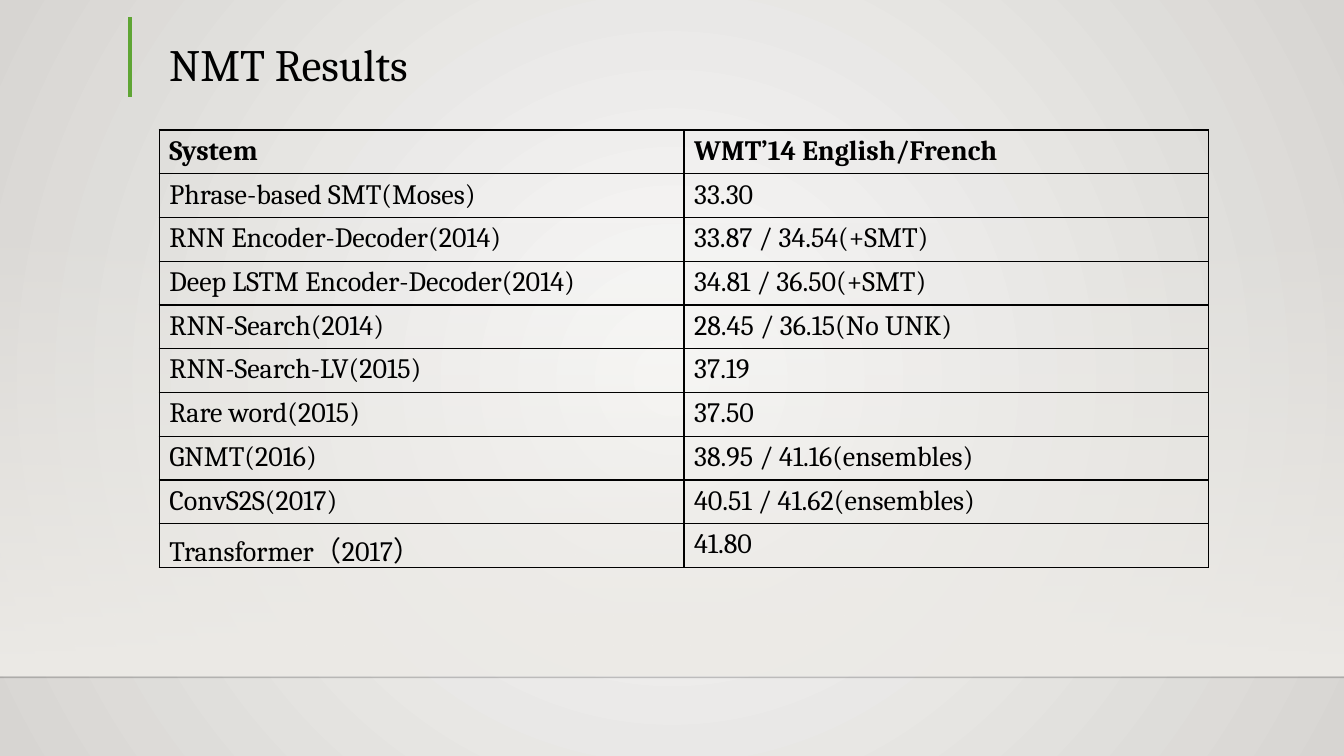
from lxml.etree import SubElement
from pptx import Presentation
from pptx.dml.color import RGBColor
from pptx.enum.shapes import MSO_CONNECTOR, MSO_SHAPE
from pptx.enum.text import MSO_ANCHOR
from pptx.oxml.ns import qn
from pptx.util import Inches, Pt

TITLE = "NMT Results"
RESULTS = [
    ("System", "WMT’14 English/French"),
    ("Phrase-based SMT(Moses)", "33.30"),
    ("RNN Encoder-Decoder(2014)", "33.87 / 34.54(+SMT)"),
    ("Deep LSTM Encoder-Decoder(2014)", "34.81 / 36.50(+SMT)"),
    ("RNN-Search(2014)", "28.45 / 36.15(No UNK)"),
    ("RNN-Search-LV(2015)", "37.19"),
    ("Rare word(2015)", "37.50"),
    ("GNMT(2016)", "38.95 / 41.16(ensembles)"),
    ("ConvS2S(2017)", "40.51 / 41.62(ensembles)"),
    ("Transformer（2017）", "41.80"),
]
COLORS = {
    "center": "FAFAF9",
    "edge": "D7D5D2",
    "band": "EDEBE7",
    "floor": "000001",
    "accent": "5FA534",
    "ink": "000000",
}
FONT = "Cambria"
WIDTH, HEIGHT = 13.33, 7.5
LEFT, CONTENT_WIDTH = 1.58, 10.41
TABLE_TOP, ROW_HEIGHT = 1.29, 0.41


def color(name):
    return RGBColor.from_string(COLORS[name])


def set_gradient(fill, names):
    fill.gradient()
    for stop, name in zip(fill.gradient_stops, names):
        stop.color.rgb = color(name)


def set_alpha(color_element, percent):
    SubElement(color_element, qn("a:alpha"), val=str(percent * 1000))


def set_font(paragraph, size, bold=False):
    paragraph.font.name = FONT
    paragraph.font.size = Pt(size)
    paragraph.font.bold = bold
    paragraph.font.color.rgb = color("ink")


def add_line(page, start, end, name, width):
    line = page.shapes.add_connector(
        MSO_CONNECTOR.STRAIGHT, *(Inches(value) for value in start + end))
    line.line.color.rgb = color(name)
    line.line.width = Pt(width)
    SubElement(line._element.spPr, qn("a:effectLst"))
    return line


def add_background(page):
    set_gradient(page.background.fill, ("center", "edge"))
    gradient = page._element.find(".//" + qn("a:gradFill"))
    gradient.remove(gradient.find(qn("a:lin")))
    circle = SubElement(gradient, qn("a:path"), path="circle")
    SubElement(circle, qn("a:fillToRect"), l="50000", t="50000", r="50000", b="50000")

    band = page.shapes.add_shape(
        MSO_SHAPE.RECTANGLE, 0, Inches(2.2), Inches(WIDTH), Inches(4.5))
    band.shadow.inherit = False
    band.line.fill.background()
    set_gradient(band.fill, ("band", "band"))
    band.fill.gradient_angle = 270
    set_alpha(band._element.spPr.find(".//" + qn("a:srgbClr")), 0)

    floor = add_line(page, (0, 6.72), (WIDTH, 6.72), "floor", 1)
    set_alpha(floor._element.spPr.find(".//" + qn("a:srgbClr")), 20)


def add_title(page):
    add_line(page, (1.29, 0.17), (1.29, 0.96), "accent", 3)
    box = page.shapes.add_textbox(
        Inches(LEFT), Inches(0.15), Inches(CONTENT_WIDTH), Inches(0.8))
    frame = box.text_frame
    frame.word_wrap = True
    frame.vertical_anchor = MSO_ANCHOR.BOTTOM
    para = frame.paragraphs[0]
    para.text = TITLE
    para.line_spacing = 0.9
    set_font(para, 32)


def add_borders(cell):
    properties = cell._tc.get_or_add_tcPr()
    for side in ("lnL", "lnR", "lnT", "lnB"):
        border = SubElement(properties, qn(f"a:{side}"), w=str(Pt(1)))
        fill = SubElement(border, qn("a:solidFill"))
        SubElement(fill, qn("a:srgbClr"), val=COLORS["ink"])


def add_results(page):
    table = page.shapes.add_table(
        len(RESULTS), len(RESULTS[0]), Inches(LEFT), Inches(TABLE_TOP),
        Inches(CONTENT_WIDTH), Inches(ROW_HEIGHT * len(RESULTS))).table
    table.horz_banding = False
    for row, texts in enumerate(RESULTS):
        for column, text in enumerate(texts):
            cell = table.cell(row, column)
            add_borders(cell)
            cell.fill.background()
            cell.text = text
            set_font(cell.text_frame.paragraphs[0], 20, bold=row == 0)


def main():
    deck = Presentation()
    deck.slide_width, deck.slide_height = Inches(WIDTH), Inches(HEIGHT)
    page = deck.slides.add_slide(deck.slide_layouts[6])
    add_background(page)
    add_title(page)
    add_results(page)
    deck.save("out.pptx")


if __name__ == "__main__":
    main()
